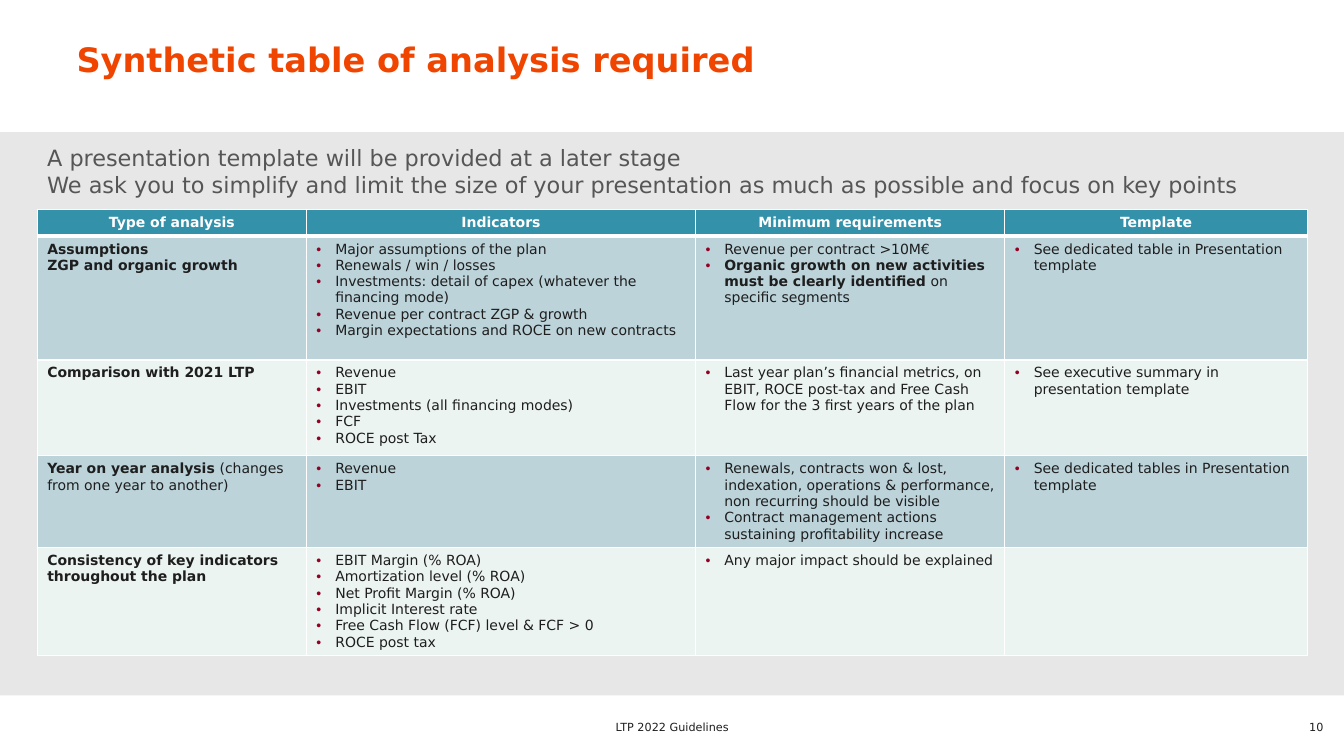
from lxml.etree import SubElement
from pptx import Presentation
from pptx.dml.color import RGBColor
from pptx.enum.shapes import MSO_SHAPE
from pptx.enum.text import MSO_ANCHOR, PP_ALIGN
from pptx.oxml import parse_xml
from pptx.oxml.ns import nsdecls, qn
from pptx.util import Pt

FONT = "DejaVu Sans"
ORANGE = RGBColor(0xF0, 0x45, 0x00)
INK = RGBColor(0x1E, 0x1E, 0x1E)
GREY = RGBColor(0x56, 0x56, 0x56)
PANEL = RGBColor(0xE7, 0xE7, 0xE8)
WHITE = RGBColor(0xFF, 0xFF, 0xFF)
TEAL = RGBColor(0x33, 0x91, 0xAA)
BLUE = RGBColor(0xBC, 0xD3, 0xDA)
MINT = RGBColor(0xEC, 0xF4, 0xF1)
BULLET = RGBColor(0x92, 0x00, 0x24)

TITLE = "Synthetic table of analysis required"
INTRO = [
    "A presentation template will be provided at a later stage",
    "We ask you to simplify and limit the size of your presentation as much as possible and focus on key points",
]
FOOTER = "LTP 2022 Guidelines"
PAGE_NUMBER = "10"

HEADERS = ["Type of analysis", "Indicators", "Minimum requirements", "Template"]
# A cell is a list of paragraphs; a paragraph is a string or a list of (text, bold) spans.
ROWS = [
    (
        [[("Assumptions", True)], [("ZGP and organic growth", True)]],
        ["Major assumptions of the plan", "Renewals / win / losses",
         "Investments: detail of capex (whatever the financing mode)",
         "Revenue per contract ZGP & growth",
         "Margin expectations and ROCE on new contracts"],
        ["Revenue per contract >10M€",
         [("Organic growth on new activities must be clearly identified ", True),
          ("on specific segments", False)]],
        ["See dedicated table in Presentation template"],
    ),
    (
        [[("Comparison with 2021 LTP", True)]],
        ["Revenue", "EBIT", "Investments (all financing modes)", "FCF", "ROCE post Tax"],
        ["Last year plan’s financial metrics, on EBIT, ROCE post-tax and Free Cash Flow "
         "for the 3 first years of the plan"],
        ["See executive summary in presentation template"],
    ),
    (
        [[("Year on year analysis ", True), ("(changes from one year to another)", False)]],
        ["Revenue", "EBIT"],
        ["Renewals, contracts won & lost, indexation, operations & performance, "
         "non recurring should be visible",
         "Contract management actions sustaining profitability increase"],
        ["See dedicated tables in Presentation template"],
    ),
    (
        [[("Consistency of key indicators throughout the plan", True)]],
        ["EBIT Margin (% ROA)", "Amortization level (% ROA)", "Net Profit Margin (% ROA)",
         "Implicit Interest rate", "Free Cash Flow (FCF) level & FCF > 0", "ROCE post tax"],
        ["Any major impact should be explained"],
        [],
    ),
]

SLIDE_SIZE = (960, 540)
PANEL_BOX = (0, 94.3, 960, 402.5)
TABLE_CORNER = (26.6, 149.6)
COLUMN_WIDTHS = [192.3, 277.9, 221, 216]
ROW_HEIGHTS = [19, 88.5, 68.5, 65.5, 77]
HANG = 13.5
THIN, THICK = 1, 3

TIGHT = {"margin_left": Pt(2.9), "margin_right": Pt(2.9), "margin_top": 0, "margin_bottom": 0}
FOOT = {**TIGHT, "vertical_anchor": MSO_ANCHOR.BOTTOM}
TEXT_BOXES = [
    # paragraphs, box, frame format, paragraph format, font format
    ([TITLE], (51.8, 12.2, 859, 64), {**TIGHT, "vertical_anchor": MSO_ANCHOR.MIDDLE},
     {"line_spacing": 0.9}, {"size": Pt(24), "bold": True, "color": ORANGE}),
    (INTRO, (26.6, 99.4, 899.3, 46), {}, {}, {"size": Pt(16), "color": GREY}),
    ([FOOTER], (295.9, 514.8, 368.6, 9.4), FOOT,
     {"alignment": PP_ALIGN.CENTER}, {"size": Pt(8), "color": INK}),
    ([PAGE_NUMBER], (924.5, 514.8, 23.8, 9.4), FOOT,
     {"alignment": PP_ALIGN.RIGHT}, {"size": Pt(8), "color": INK}),
]


def apply(target, values):
    for name, value in values.items():
        setattr(target, name, value)


def write(frame, paragraphs, para_format, font_format):
    """Fill a text frame and return its paragraphs."""
    for index, content in enumerate(paragraphs):
        para = frame.paragraphs[0] if index == 0 else frame.add_paragraph()
        apply(para, para_format)
        spans = [(content, font_format.get("bold", False))] if isinstance(content, str) else content
        for text, bold in spans:
            span = para.add_run()
            span.text = text
            apply(span.font, {"name": FONT, "size": font_format["size"], "bold": bold})
            span.font.color.rgb = font_format["color"]
    return frame.paragraphs


def add_bullet(para):
    properties = para._p.get_or_add_pPr()
    properties.set("marL", str(Pt(HANG)))
    properties.set("indent", str(-Pt(HANG)))
    color = SubElement(properties, qn("a:buClr"))
    SubElement(color, qn("a:srgbClr"), val=str(BULLET))
    SubElement(properties, qn("a:buFont"), typeface="Arial")
    SubElement(properties, qn("a:buChar"), char="•")


def style_cell(cell, fill, top, bottom):
    cell.fill.solid()
    cell.fill.fore_color.rgb = fill
    sides = {"lnL": THIN, "lnR": THIN, "lnT": top, "lnB": bottom}
    for index, (side, width) in enumerate(sides.items()):
        border = parse_xml(
            f'<a:{side} {nsdecls("a")} w="{Pt(width)}"><a:solidFill>'
            f'<a:srgbClr val="{WHITE}"/></a:solidFill></a:{side}>')
        cell._tc.get_or_add_tcPr().insert(index, border)


def add_analysis_table(page):
    frame = page.shapes.add_table(
        len(ROW_HEIGHTS), len(COLUMN_WIDTHS), *map(Pt, TABLE_CORNER),
        Pt(sum(COLUMN_WIDTHS)), Pt(sum(ROW_HEIGHTS)))
    table = frame.table
    for column, width in zip(table.columns, COLUMN_WIDTHS):
        column.width = Pt(width)
    for row, height in zip(table.rows, ROW_HEIGHTS):
        row.height = Pt(height)

    for index, header in enumerate(HEADERS):
        cell = table.cell(0, index)
        style_cell(cell, TEAL, THIN, THICK)
        write(cell.text_frame, [header], {"alignment": PP_ALIGN.CENTER},
              {"size": Pt(10), "bold": True, "color": WHITE})

    for row_index, row in enumerate(ROWS, start=1):
        for column_index, paragraphs in enumerate(row):
            cell = table.cell(row_index, column_index)
            style_cell(cell, BLUE if row_index % 2 else MINT,
                       THICK if row_index == 1 else THIN, THIN)
            paras = write(cell.text_frame, paragraphs, {}, {"size": Pt(10), "color": INK})
            if column_index > 0 and paragraphs:
                for para in paras:
                    add_bullet(para)


def main():
    deck = Presentation()
    deck.slide_width, deck.slide_height = map(Pt, SLIDE_SIZE)
    page = deck.slides.add_slide(deck.slide_layouts[6])

    panel = page.shapes.add_shape(MSO_SHAPE.RECTANGLE, *map(Pt, PANEL_BOX))
    panel.shadow.inherit = False
    panel.fill.solid()
    panel.fill.fore_color.rgb = PANEL
    panel.line.fill.background()

    add_analysis_table(page)
    for paragraphs, place, frame_format, para_format, font_format in TEXT_BOXES:
        frame = page.shapes.add_textbox(*map(Pt, place)).text_frame
        apply(frame, {"word_wrap": True, **frame_format})
        write(frame, paragraphs, para_format, font_format)

    deck.save("out.pptx")


if __name__ == "__main__":
    main()
